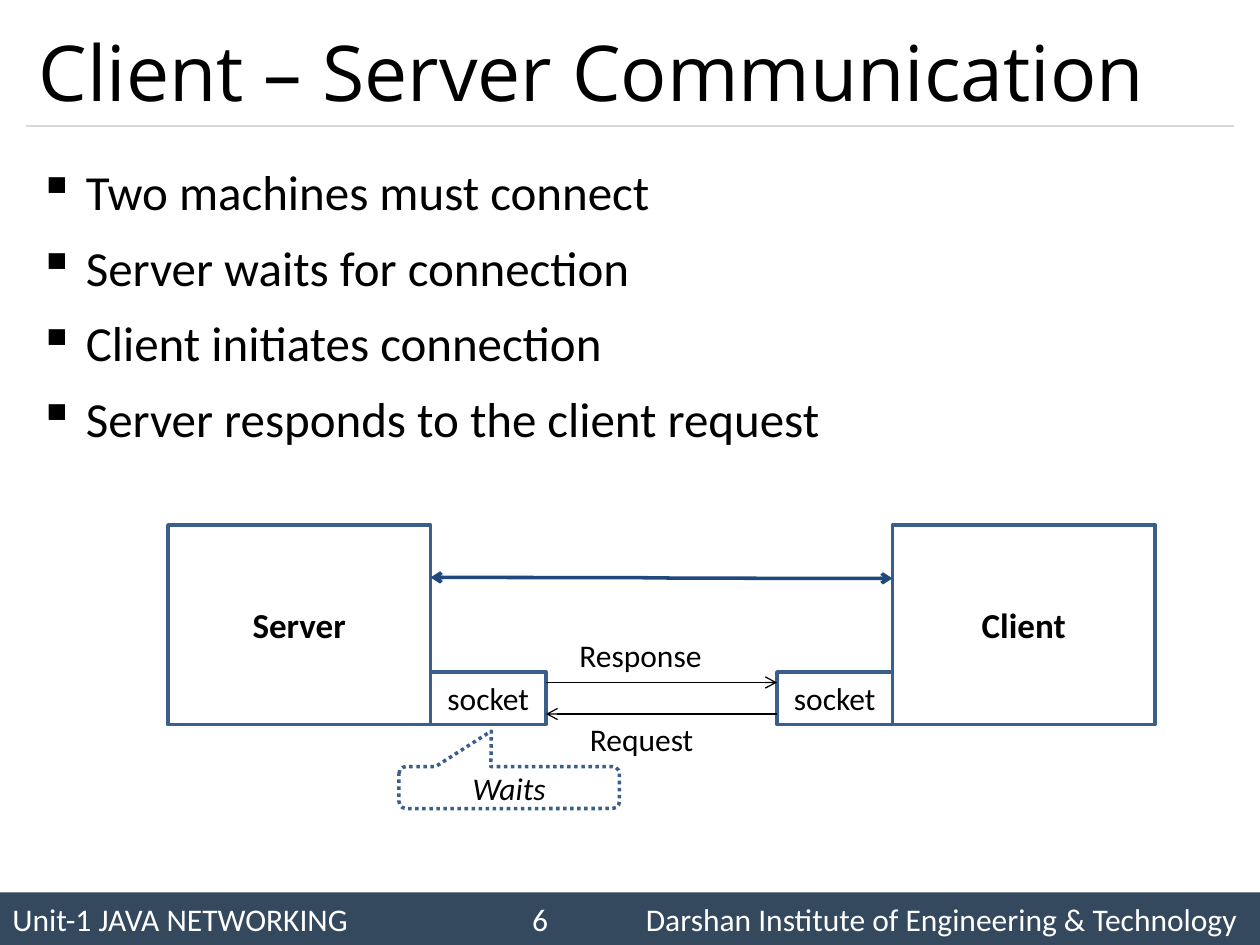
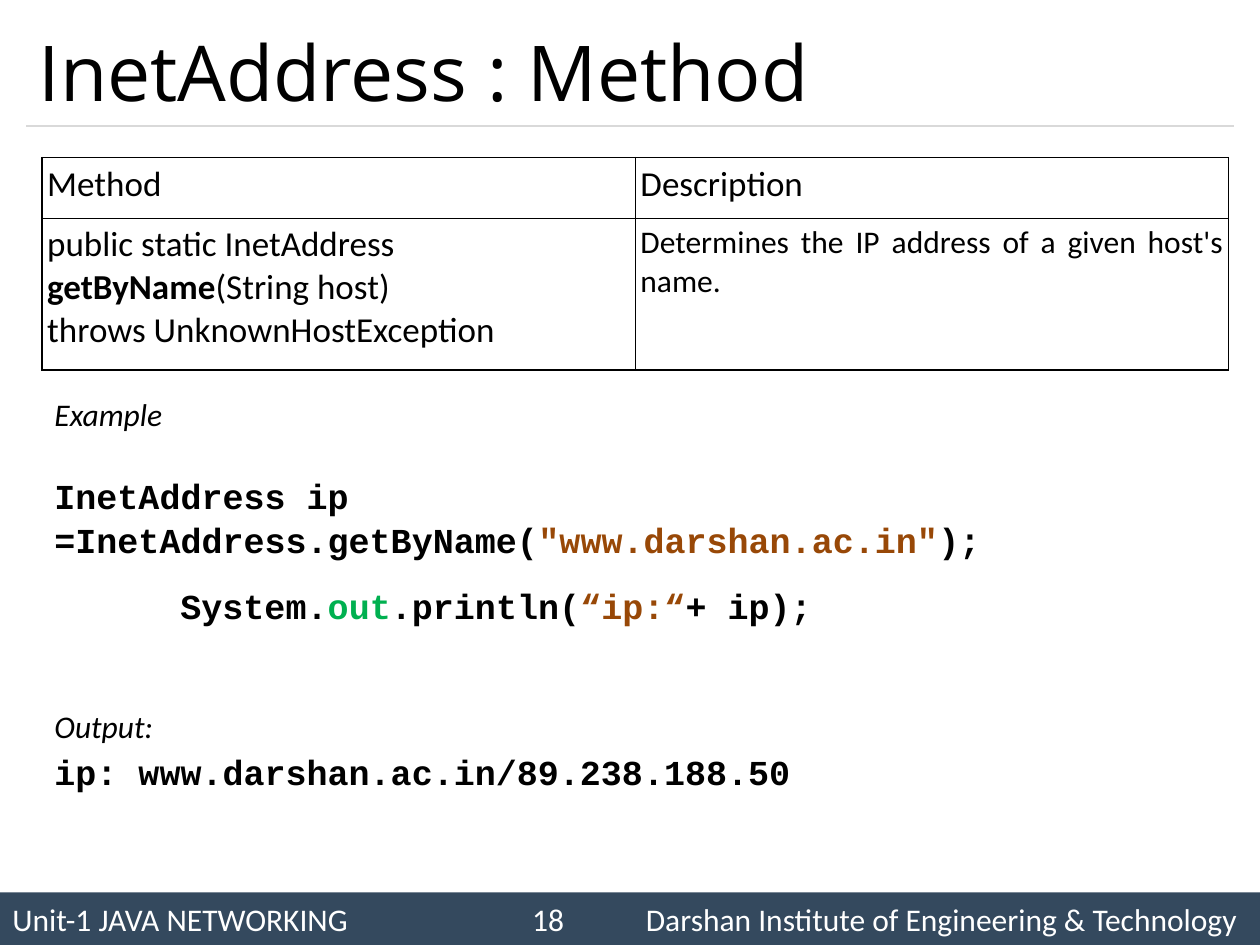
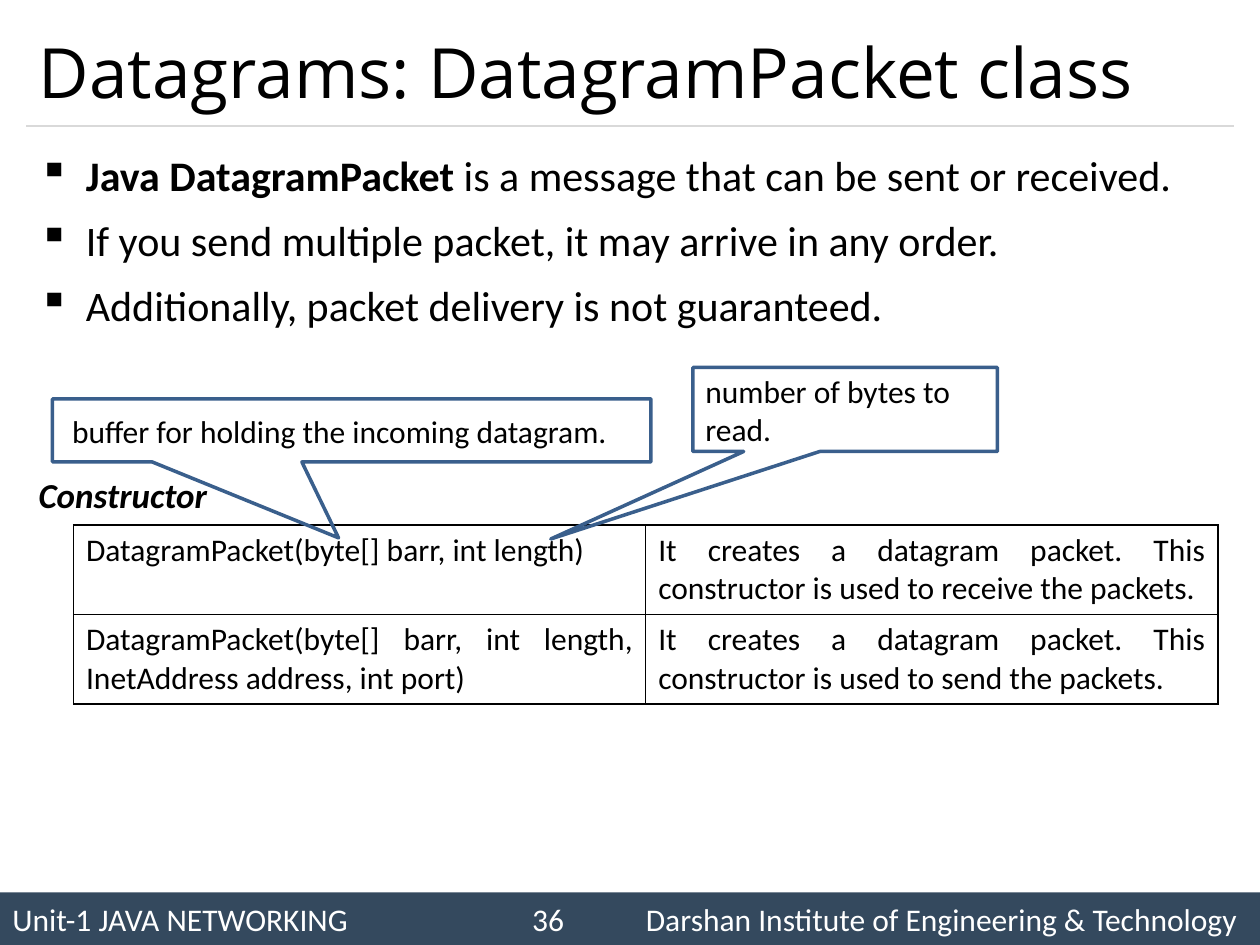
import pptx
import pptx.util
import pptx.dml.color
import pptx.enum.dml
import pptx.enum.shapes
import pptx.enum.text
import pptx.oxml
import pptx.oxml.ns

Pt = pptx.util.Pt
RGBColor = pptx.dml.color.RGBColor
SHAPE = pptx.enum.shapes.MSO_SHAPE
CONNECTOR = pptx.enum.shapes.MSO_CONNECTOR
ALIGN = pptx.enum.text.PP_ALIGN
ANCHOR = pptx.enum.text.MSO_ANCHOR
DOTTED = pptx.enum.dml.MSO_LINE.ROUND_DOT

BLACK = RGBColor(0x00, 0x00, 0x00)
WHITE = RGBColor(0xFF, 0xFF, 0xFF)
BAND = RGBColor(0x34, 0x49, 0x5E)
RULE = RGBColor(0xD9, 0xD9, 0xD9)
OUTLINE = RGBColor(0x3A, 0x5F, 0x8C)
LINK = RGBColor(0x1F, 0x49, 0x7D)
STRING = RGBColor(0x98, 0x48, 0x07)
FIELD = RGBColor(0x00, 0xB0, 0x50)

# Text formats
BODY = {"name": "Calibri", "size": Pt(18), "color": BLACK}
LARGE = BODY | {"size": Pt(20)}
BOLD = LARGE | {"bold": True}
ITALIC = BODY | {"italic": True}
CODE = BOLD | {"name": "Courier New"}
TITLE = {"name": "Open Sans", "size": Pt(44), "color": BLACK}
FOOTER = BODY | {"color": WHITE}

# Content: a paragraph is a list of (text, format) spans
FOOTER_TEXT = "Unit-1 JAVA NETWORKING\tDarshan Institute of Engineering & Technology"

CONNECTION_POINTS = [
    [("Two machines must connect", {})],
    [("Server waits for connection", {})],
    [("Client initiates connection", {})],
    [("Server responds to the client request", {})],
]
MACHINES = [  # name, left of machine, left of its socket
    ("Server", 96, 246),
    ("Client", 510, 444),
]
MESSAGES = [  # label, label place, arrow start, arrow end, arrow height
    ("Response", (324, 360, 102, 29), 312, 444, 390),
    ("Request", (330, 408, 96, 30), 444, 312, 408),
]

METHOD_ROWS = [
    [([[("Method", LARGE)]], ALIGN.LEFT), ([[("Description", LARGE)]], ALIGN.LEFT)],
    [
        ([
            [("public static InetAddress", LARGE)],
            [("getByName", BOLD), ("(String host)", LARGE)],
            [("throws UnknownHostException", LARGE)],
        ], ALIGN.LEFT),
        ([[("Determines the IP address of a given host's name.", BODY)]], ALIGN.JUSTIFY),
    ],
]
EXAMPLE = [  # spans, space before, left indent
    ([("Example", ITALIC)], 0, 0),
    ([("InetAddress ip", CODE)], 24, 0),
    ([("=InetAddress.getByName(", CODE),
      ('"www.darshan.ac.in"', CODE | {"color": STRING}), (");", CODE)], 1.3, 0),
    ([("System.", CODE), ("out", CODE | {"color": FIELD}), (".println(", CODE),
      ("“ip:“", CODE | {"color": STRING}), ("+ ip);", CODE)], 13.3, 72),
    ([("Output:", ITALIC)], 46, 0),
    ([("ip: www.darshan.ac.in/89.238.188.50", CODE)], 3.5, 0),
]

PACKET_POINTS = [
    [("Java DatagramPacket", {"bold": True}),
     (" is a message that can be sent or received.", {})],
    [("If you send multiple packet, it may arrive in any order.", {})],
    [("Additionally, packet delivery is not guaranteed.", {})],
]
CONSTRUCTORS = [
    ("DatagramPacket(byte[] barr, int length)",
     "It creates a datagram packet. This constructor is used to receive the packets."),
    ("DatagramPacket(byte[] barr, int length, InetAddress address, int port)",
     "It creates a datagram packet. This constructor is used to send the packets."),
]
PARAMETER_NOTES = [  # text, place, pointer, left inset
    ("buffer for holding the incoming datagram.", (30, 228, 342, 36), (-0.022, 1.706), 11.2),
    ("number of bytes to read.", (396, 210, 174, 48), (-0.967, 1.542), 7.2),
]


def points(*lengths):
    return [Pt(length) for length in lengths]


def add_xml(parent, tag, **attributes):
    child = parent.makeelement(pptx.oxml.ns.qn(tag), attributes)
    parent.append(child)
    return child


def add_spans(para, spans):
    for text, style in spans:
        span = para.add_run()
        span.text = text
        for attribute, value in style.items():
            if attribute == "color":
                span.font.color.rgb = value
            else:
                setattr(span.font, attribute, value)


def write(frame, paragraphs, **settings):
    """Fill a frame and return its paragraphs; settings apply to each of them."""
    for index, spans in enumerate(paragraphs):
        para = frame.add_paragraph() if index else frame.paragraphs[0]
        for attribute, value in settings.items():
            setattr(para, attribute, value)
        add_spans(para, spans)
    return frame.paragraphs


def add_text(page, place, paragraphs, wrap=True):
    box = page.shapes.add_textbox(*points(*place))
    box.text_frame.word_wrap = wrap
    return write(box.text_frame, paragraphs)


def add_box(page, kind, place, spans, fill=None, line=OUTLINE, align=ALIGN.CENTER):
    box = page.shapes.add_shape(kind, *points(*place))
    box.shadow.inherit = False
    if fill is None:
        box.fill.background()
    else:
        box.fill.solid()
        box.fill.fore_color.rgb = fill
    if line is None:
        box.line.fill.background()
    else:
        box.line.color.rgb = line
        box.line.width = Pt(2)
    box.text_frame.word_wrap = True
    box.text_frame.vertical_anchor = ANCHOR.MIDDLE
    write(box.text_frame, [spans], alignment=align)
    return box


def add_line(page, ends, color, width, kind=CONNECTOR.STRAIGHT, arrows=()):
    line = page.shapes.add_connector(kind, *points(*ends))
    line.line.color.rgb = color
    line.line.width = Pt(width)
    for end in arrows:
        add_xml(line.line._get_or_add_ln(), end, type="arrow")
    add_xml(line._element.spPr, "a:effectLst")


def add_bullets(page, place, items, size):
    style = BODY | {"size": Pt(size)}
    paragraphs = [[(text, style | extra) for text, extra in spans] for spans in items]
    lines = add_text(page, place, paragraphs)
    for index, para in enumerate(lines):
        para.line_spacing = 1.14
        para.space_before = Pt(round(size * 0.18, 1) if index else 0)
        properties = para._p.get_or_add_pPr()
        properties.set("marL", str(Pt(27)))
        properties.set("indent", str(Pt(-27)))
        add_xml(properties, "a:buChar", char="▪")
    return lines


def add_grid(page, place, heights, rows, inset=None):
    """Add a plain ruled table; each cell is (paragraphs, alignment)."""
    table = page.shapes.add_table(len(rows), len(rows[0]), *points(*place)).table
    table.first_row = table.horz_banding = False
    for row, height, cells in zip(table.rows, heights, rows):
        row.height = Pt(height)
        for cell, (paragraphs, align) in zip(row.cells, cells):
            if inset is not None:
                for side in ("left", "right", "top", "bottom"):
                    setattr(cell, "margin_" + side, Pt(inset))
            write(cell.text_frame, paragraphs, alignment=align)
            properties = cell._tc.get_or_add_tcPr()
            for edge in ("a:lnL", "a:lnR", "a:lnT", "a:lnB"):
                border = add_xml(properties, edge, w=str(Pt(1)))
                add_xml(add_xml(border, "a:solidFill"), "a:srgbClr", val=str(BLACK))
            cell.fill.background()


def add_page(deck, title, number, title_size=44):
    page = deck.slides.add_slide(deck.slide_layouts.get_by_name("Title Only"))
    # Title and rule
    heading = page.shapes.title
    heading.left, heading.top, heading.width, heading.height = points(15, 9, 690, 63)
    frame = heading.text_frame
    frame.auto_size = pptx.enum.text.MSO_AUTO_SIZE.NONE
    frame.vertical_anchor = ANCHOR.MIDDLE
    write(frame, [[(title, TITLE | {"size": Pt(title_size)})]], alignment=ALIGN.LEFT)
    add_line(page, (15, 72, 705, 72), RULE, 0.75)
    # Footer band and page number
    band = add_box(page, SHAPE.RECTANGLE, (0, 510, 720, 30), [(FOOTER_TEXT, FOOTER)],
                   BAND, None, ALIGN.LEFT)
    tabs = add_xml(band.text_frame.paragraphs[0]._p.get_or_add_pPr(), "a:tabLst")
    add_xml(tabs, "a:tab", pos=str(Pt(362)), algn="l")
    add_text(page, (297, 511, 36, 29), [[(str(number), FOOTER)]], wrap=False)
    return page


def build_communication(deck):
    page = add_page(deck, "Client – Server Communication", 6)
    add_bullets(page, (15, 84, 690, 390), CONNECTION_POINTS, 28)
    # Machines with their sockets
    for name, left, socket_left in MACHINES:
        add_box(page, SHAPE.RECTANGLE, (left, 300, 150, 114), [(name, BOLD)], WHITE)
        add_box(page, SHAPE.RECTANGLE, (socket_left, 384, 66, 30), [("socket", BODY)], WHITE)
    # Messages and the connection
    for label, place, start, end, height in MESSAGES:
        add_line(page, (start, height, end, height), BLACK, 0.75, arrows=["a:tailEnd"])
        add_text(page, place, [[(label, BODY)]])
    add_line(page, (246, 330, 510, 330.5), LINK, 2, CONNECTOR.CURVE,
             ["a:headEnd", "a:tailEnd"])
    waits = add_box(page, SHAPE.ROUNDED_RECTANGULAR_CALLOUT, (228, 438, 126, 24),
                    [("Waits", ITALIC)])
    waits.line.dash_style = DOTTED
    waits.adjustments[0], waits.adjustments[1] = -0.081, -1.345


def build_method(deck):
    page = add_page(deck, "InetAddress : Method", 18)
    add_grid(page, (24, 90, 678, 121.5), (34.8, 86.7), METHOD_ROWS, inset=3)
    lines = add_text(page, (24, 222, 696, 276), [spans for spans, _, _ in EXAMPLE])
    for para, (_, space, indent) in zip(lines, EXAMPLE):
        para.space_before = Pt(space)
        para._p.get_or_add_pPr().set("marL", str(Pt(indent)))


def build_packet(deck):
    page = add_page(deck, "Datagrams: DatagramPacket class", 36, title_size=39.6)
    lines = add_bullets(page, (15, 78, 690, 420),
                        PACKET_POINTS + [[("Constructor", BOLD | {"italic": True})]], 24)
    # The last line is a plain heading above the table
    heading = lines[-1]
    heading.space_before = Pt(78.6)
    properties = heading._p.get_or_add_pPr()
    properties.set("marL", "0")
    properties.set("indent", "0")
    properties.remove(properties.find(pptx.oxml.ns.qn("a:buChar")))
    add_xml(properties, "a:buNone")

    rows = [[([[(text, BODY)]], ALIGN.JUSTIFY) for text in row] for row in CONSTRUCTORS]
    add_grid(page, (42, 300, 654, 102.2), (51.1, 51.1), rows)
    for text, place, pointer, inset in PARAMETER_NOTES:
        note = add_box(page, SHAPE.RECTANGULAR_CALLOUT, place, [(text, BODY)],
                       align=ALIGN.LEFT)
        note.text_frame.margin_left = Pt(inset)
        note.adjustments[0], note.adjustments[1] = pointer


def main():
    deck = pptx.Presentation()
    deck.slide_width, deck.slide_height = points(720, 540)
    build_communication(deck)
    build_method(deck)
    build_packet(deck)
    deck.save("out.pptx")


if __name__ == "__main__":
    main()
